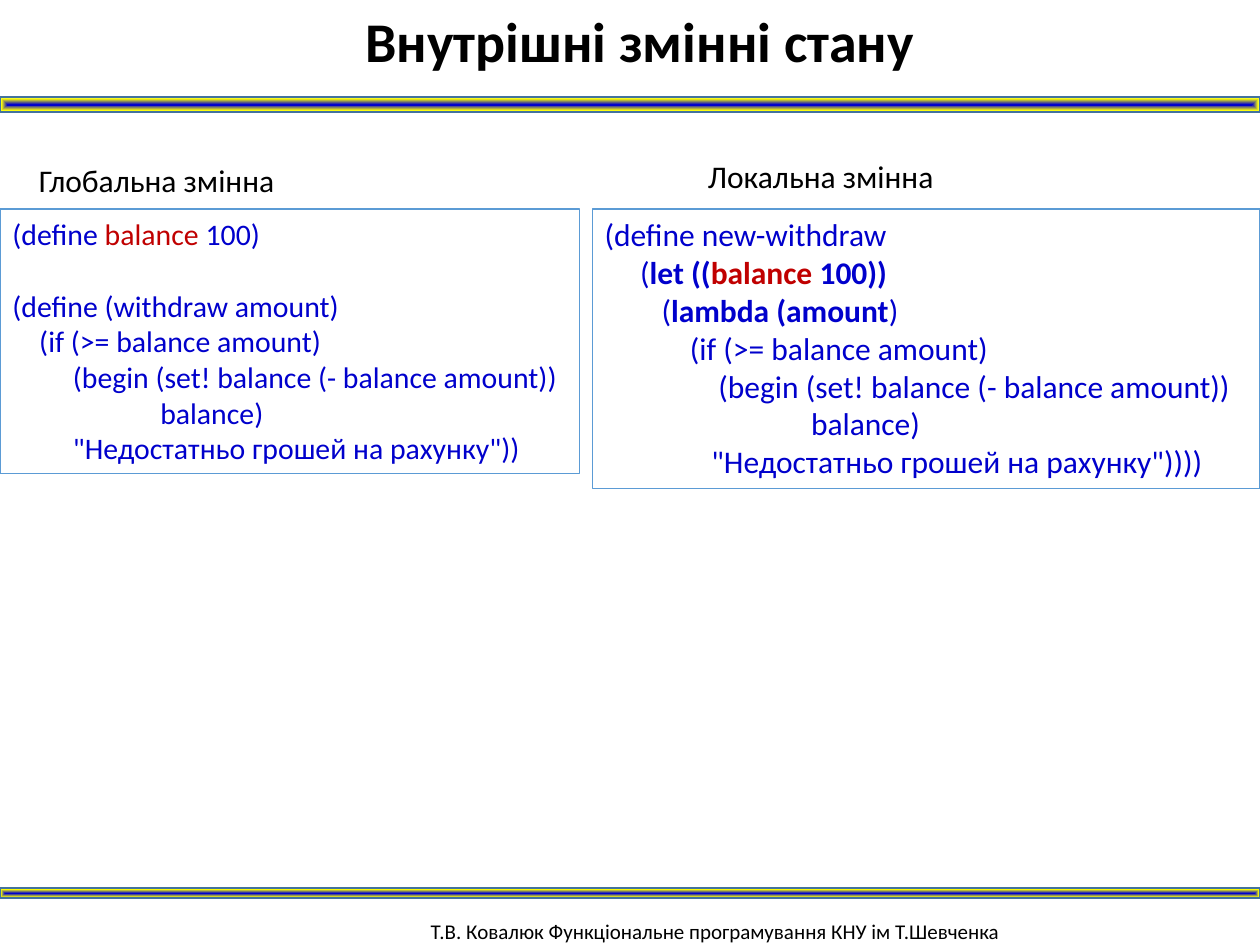
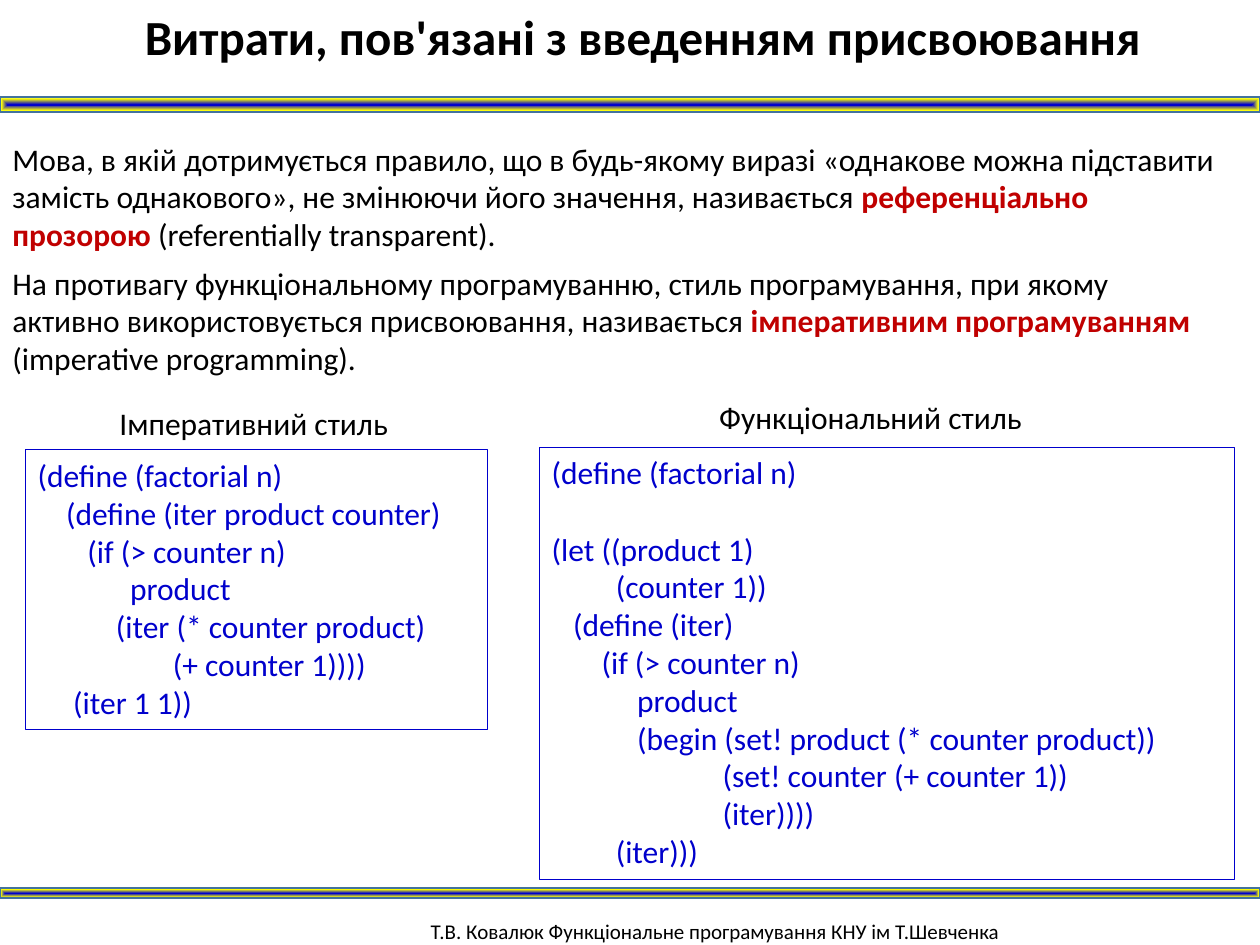
from lxml import etree
from pptx import Presentation
from pptx.dml.color import RGBColor
from pptx.enum.shapes import MSO_SHAPE
from pptx.enum.text import MSO_ANCHOR, MSO_AUTO_SIZE, PP_ALIGN
from pptx.oxml import parse_xml
from pptx.util import Inches, Pt

RECTANGLE = MSO_SHAPE.RECTANGLE
TOP, MIDDLE = MSO_ANCHOR.TOP, MSO_ANCHOR.MIDDLE
GROW, FIXED = MSO_AUTO_SIZE.SHAPE_TO_FIT_TEXT, MSO_AUTO_SIZE.NONE
LEFT, CENTER = PP_ALIGN.LEFT, PP_ALIGN.CENTER

BLACK = RGBColor(0x00, 0x00, 0x00)
CODE_BLUE = RGBColor(0x00, 0x00, 0xCC)
ACCENT_RED = RGBColor(0xC0, 0x00, 0x00)
FRAME_BLUE = RGBColor(0x5B, 0x9B, 0xD5)
BAND_EDGE = RGBColor(0x43, 0x73, 0x9E)
BAND_YELLOW = RGBColor(0xFF, 0xFF, 0x00)
BAND_PALE = RGBColor(0xCE, 0xE1, 0xF2)
BAND_STOPS = [(0, CODE_BLUE), (77, BAND_YELLOW), (100, BAND_PALE)]

FONT = "Calibri"
BODY_SIZE = 18
SPACE_WIDTH = 0.226  # width of a space, in ems
LINE_HEIGHT = 1.22   # height of a line, in ems
DRAWING_NS = "http://schemas.openxmlformats.org/drawingml/2006/main"
FOOTER = "Т.В. Ковалюк Функціональне програмування КНУ ім Т.Шевченка"

# A code line is (indent in spaces, runs); a run is (text, colour, bold).
# None stands for an empty line.


def code(indent, text):
    """Return a code line made of one plain run."""
    return indent, [(text, CODE_BLUE, False)]


GLOBAL_CODE = [
    (0, [("(define ", CODE_BLUE, False), ("balance", ACCENT_RED, False),
         (" 100)", CODE_BLUE, False)]),
    None,
    code(0, "(define (withdraw amount)"),
    code(4, "(if (>= balance amount)"),
    code(9, "(begin (set! balance (- balance amount))"),
    code(22, "balance)"),
    code(9, '"Недостатньо грошей на рахунку"))'),
]
LOCAL_CODE = [
    code(0, "(define new-withdraw"),
    (5, [("(", CODE_BLUE, False), ("let ((", CODE_BLUE, True),
         ("balance", ACCENT_RED, True), (" 100))", CODE_BLUE, True)]),
    (8, [("(", CODE_BLUE, False), ("lambda (amount", CODE_BLUE, True),
         (")", CODE_BLUE, False)]),
    code(12, "(if (>= balance amount)"),
    code(16, "(begin (set! balance (- balance amount))"),
    code(29, "balance)"),
    code(15, '"Недостатньо грошей на рахунку"))))'),
]
IMPERATIVE_CODE = [
    code(0, "(define (factorial n)"),
    code(4, "(define (iter product counter)"),
    code(7, "(if (> counter n)"),
    code(13, "product"),
    code(11, "(iter (* counter product)"),
    code(19, "(+ counter 1))))"),
    code(5, "(iter 1 1))"),
]
FUNCTIONAL_CODE = [
    code(0, "(define (factorial n)"),
    None,
    code(0, "(let ((product 1)"),
    code(9, "(counter 1))"),
    code(3, "(define (iter)"),
    code(7, "(if (> counter n)"),
    code(12, "product"),
    code(12, "(begin (set! product (* counter product))"),
    code(24, "(set! counter (+ counter 1))"),
    code(24, "(iter))))"),
    code(9, "(iter)))"),
]
DEFINITIONS = [
    [("Мова, в якій дотримується правило, що в будь-якому виразі «однакове "
      "можна підставити замість однакового», не змінюючи його значення, "
      "називається ", BLACK, False),
     ("референціально прозорою ", ACCENT_RED, True),
     ("(referentially transparent).", BLACK, False)],
    [("На противагу функціональному програмуванню, стиль програмування, при "
      "якому активно використовується присвоювання, називається ",
      BLACK, False),
     ("імперативним програмуванням ", ACCENT_RED, True),
     ("(imperative programming).", BLACK, False)],
]


def inches(box):
    """Turn a (left, top, width, height) box into lengths."""
    return [Inches(value) for value in box]


def style_run(run, size, color, bold=False):
    """Format one run of text."""
    run.font.name = FONT
    run.font.size = Pt(size)
    run.font.bold = bold
    run.font.color.rgb = color


def write_runs(paragraph, runs, size):
    """Fill a paragraph with differently formatted runs."""
    for text, color, bold in runs:
        run = paragraph.add_run()
        run.text = text
        style_run(run, size, color, bold)


def next_paragraph(frame, index):
    """Return the first paragraph of a frame, or a new one after it."""
    return frame.add_paragraph() if index else frame.paragraphs[0]


def add_label(slide, box, text, size=BODY_SIZE, wrap=False, anchor=TOP):
    """Place one line of plain text."""
    label = slide.shapes.add_textbox(*inches(box))
    frame = label.text_frame
    frame.text = text
    frame.word_wrap = wrap
    frame.vertical_anchor = anchor
    style_run(frame.paragraphs[0].runs[0], size, BLACK)


def add_title(slide, box, text, size, align, wrap):
    """Move and format the title placeholder."""
    title = slide.shapes.title
    title.left, title.top, title.width, title.height = inches(box)
    frame = title.text_frame
    frame.text = text
    frame.word_wrap = wrap
    frame.auto_size = FIXED
    frame.vertical_anchor = TOP
    frame.paragraphs[0].alignment = align
    style_run(frame.paragraphs[0].runs[0], size, BLACK, True)


def add_band(slide, box):
    """Draw a band whose gradient runs from its centre to its edges."""
    band = slide.shapes.add_shape(RECTANGLE, *inches(box))
    band.shadow.inherit = False
    band.line.color.rgb = BAND_EDGE
    band.line.width = Pt(1)
    band.fill.background()
    stops = "".join(
        f'<a:gs pos="{percent * 1000}"><a:srgbClr val="{color}"/></a:gs>'
        for percent, color in BAND_STOPS)
    gradient = parse_xml(
        f'<a:gradFill xmlns:a="{DRAWING_NS}" rotWithShape="1">'
        f'<a:gsLst>{stops}</a:gsLst><a:path path="shape">'
        '<a:fillToRect l="50000" t="50000" r="50000" b="50000"/>'
        '</a:path></a:gradFill>')
    properties = band.fill._xPr
    no_fill = properties.find(etree.QName(DRAWING_NS, "noFill").text)
    properties.replace(no_fill, gradient)


def add_code(slide, box, lines, frame_color, size=BODY_SIZE):
    """Place a framed code listing with indented lines."""
    panel = slide.shapes.add_shape(RECTANGLE, *inches(box))
    panel.shadow.inherit = False
    panel.fill.background()
    panel.line.color.rgb = frame_color
    panel.line.width = Pt(0.75)
    frame = panel.text_frame
    frame.word_wrap = True
    frame.auto_size = GROW
    frame.vertical_anchor = TOP
    gap = 0
    for index, line in enumerate(lines):
        if line is None:
            gap = LINE_HEIGHT * size
            continue
        indent, runs = line
        paragraph = next_paragraph(frame, index)
        paragraph.alignment = LEFT
        paragraph.space_before = Pt(gap)
        margin = Pt(indent * SPACE_WIDTH * size)
        paragraph._p.get_or_add_pPr().set("marL", str(margin))
        write_runs(paragraph, runs, size)
        gap = 0


def add_definitions(slide, box, definitions):
    """Place the explanatory paragraphs."""
    frame = slide.shapes.add_textbox(*inches(box)).text_frame
    frame.word_wrap = True
    for index, runs in enumerate(definitions):
        paragraph = next_paragraph(frame, index)
        paragraph.space_after = Pt(6)
        write_runs(paragraph, runs, BODY_SIZE)


def add_base_slide(deck):
    """Add a title-only slide with the shared bands and footer."""
    slide = deck.slides.add_slide(deck.slide_layouts[5])
    add_band(slide, (0, 0.77, 10, 0.12))
    add_band(slide, (0, 7.05, 10, 0.08))
    add_label(slide, (3.32, 7.23, 6, 0.32), FOOTER, 12, True, MIDDLE)
    return slide


def build_state_slide(deck):
    """Compare a global with a local state variable."""
    slide = add_base_slide(deck)
    add_title(slide, (2.8, 0, 4.6, 0.64), "Внутрішні змінні стану",
              32, LEFT, False)
    add_code(slide, (0, 1.66, 4.6, 2.1), GLOBAL_CODE, FRAME_BLUE, 17)
    add_code(slide, (4.7, 1.66, 5.3, 2.22), LOCAL_CODE, FRAME_BLUE)
    add_label(slide, (0.21, 1.23, 2.09, 0.4), "Глобальна змінна")
    add_label(slide, (5.52, 1.2, 2.01, 0.4), "Локальна змінна")


def build_assignment_slide(deck):
    """Explain the costs of assignment and compare two styles."""
    slide = add_base_slide(deck)
    add_title(slide, (0.2, 0, 9.8, 0.57),
              "Витрати, пов'язані з введенням присвоювання",
              28, CENTER, True)
    add_definitions(slide, (0, 1.06, 9.8, 2), DEFINITIONS)
    add_code(slide, (0.2, 3.57, 3.67, 2.22), IMPERATIVE_CODE, CODE_BLUE)
    add_code(slide, (4.28, 3.55, 5.52, 3.43), FUNCTIONAL_CODE, CODE_BLUE)
    add_label(slide, (0.85, 3.16, 2.36, 0.4), "Імперативний стиль")
    add_label(slide, (5.61, 3.11, 2.63, 0.4), "Функціональний стиль")


def main():
    """Build and save the deck."""
    deck = Presentation()
    deck.slide_width, deck.slide_height = Inches(10), Inches(7.5)
    build_state_slide(deck)
    build_assignment_slide(deck)
    deck.save("out.pptx")


main()
